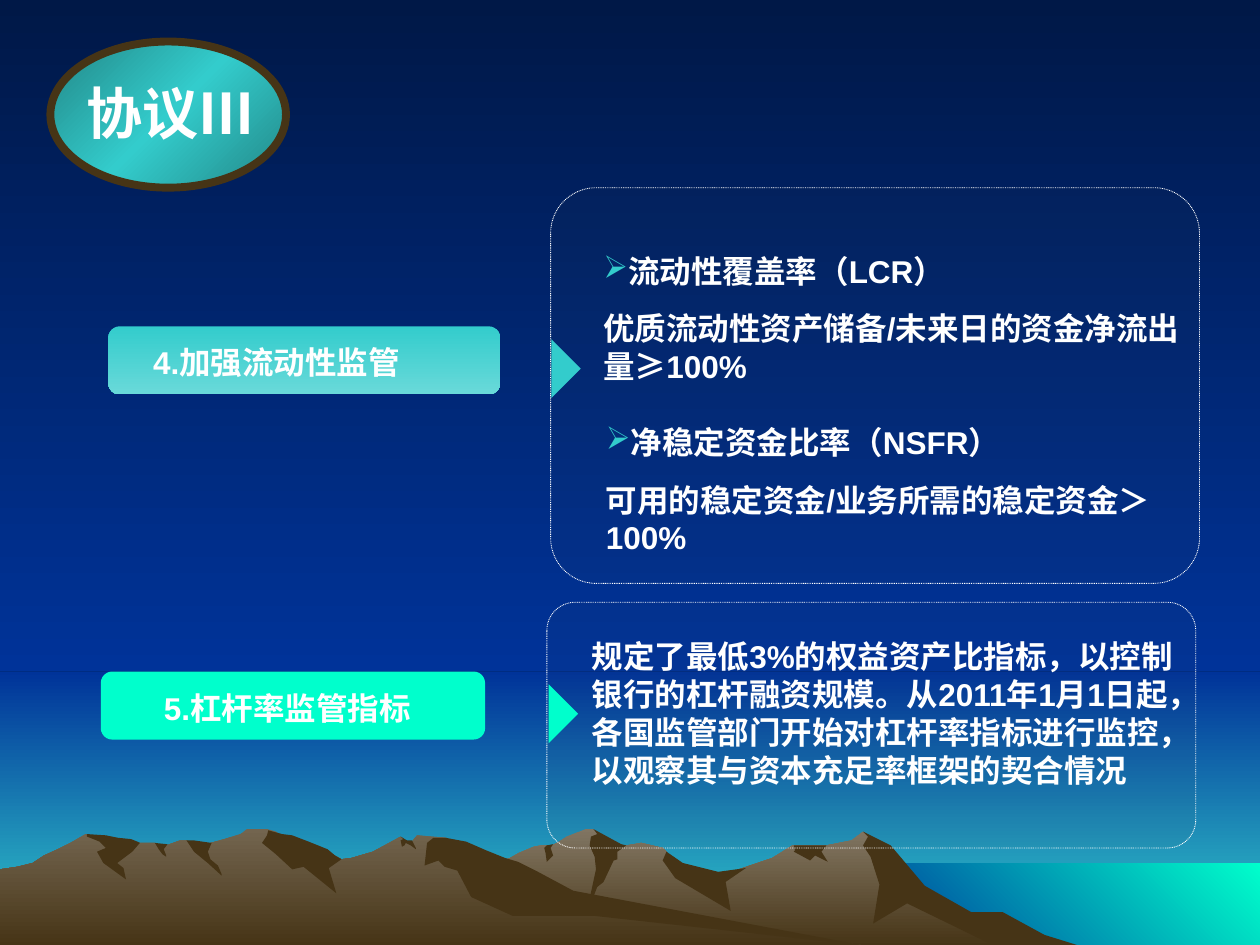
from copy import deepcopy

from lxml import etree
from pptx import Presentation
from pptx import util as u
from pptx.dml import color
from pptx.enum import dml, lang, shapes, text
from pptx.oxml import ns

COLUMNS, ROWS = 1000, 750

WHITE, TEAL, MINT = "FFFFFF", "33CCCC", "00FFCC"
NIGHT, BLUE, EARTH, GREY = "001847", "003399", "463416", "4D4D4D"
DOWN = 90

RIGHT_RANGE = """802,740 778,727 764,723 723,698 702,671 685,660 676,667 656,671 629,671 613,681
    566,697 536,690 529,676 526,673 509,669 486,673 474,661 471,658 465,658 450,664 444,668
    438,671 430,671 424,672 412,677 405,681 394,685 355,698 327,709 277,739 258,751 821,751"""
LEFT_RANGE = """690,751 667,748 432,712 354,665 331,663 327,668 323,668 318,664 296,676 279,681
    271,682 260,676 236,681 223,663 219,660 212,658 196,658 191,662 178,666 160,671 148,667
    143,667 132,671 128,671 123,669 111,669 94,671 68,662 56,669 46,674 35,679 26,685 14,688
    0,690 0,751"""
RIGHT_SHADOWS = [
    """796,724 771,724 734,703 707,671 685,660 689,664 685,671 691,680 698,702 693,733
    720,717 792,752 858,751 829,742""",
    """471,658 474,662 469,664 468,671 472,680 473,690 465,727 474,704 479,700 487,683
    490,682 490,676 497,671 493,670""",
    "529,676 526,683 536,697 580,723 576,700 592,689 570,692 542,685",
    "650,671 630,671 631,675 630,676 643,683 647,679 657,684 652,676 656,671",
    "433,677 432,673 434,671 439,670 437,673 439,679 434,684",
]
LEFT_SHADOWS = [
    """212,663 208,669 219,678 232,690 241,688 267,709 261,689 271,682 266,679 260,674
    245,668 232,663 224,662 213,659""",
    """370,668 354,665 344,665 339,669 337,687 348,683 353,688 363,691 374,712 407,727
    472,727 690,751 683,750 455,707 427,692 411,684 401,681 386,675""",
    """318,667 320,666 318,664 323,667 327,667 330,673 330,674 326,671 322,669 321,671
    319,672""",
    "154,667 168,669 165,676 167,682 173,687 176,694 176,695 165,685 154,676 148,667",
    "133,670 130,674 132,679 132,680 129,678 126,674 123,669",
    """109,668 111,669 105,676 93,685 98,689 100,698 82,685 77,676 84,673 79,668 69,664
    69,662 84,663 94,665 104,666""",
]


def rgb(value):
    return color.RGBColor.from_string(value)


class SlideBuilder:
    font = "Arial"
    text_colour = WHITE
    space_before = 11.2

    def __init__(self, presentation):
        self.unit = presentation.slide_width / COLUMNS
        self.slide = presentation.slides.add_slide(presentation.slide_layouts[5])

    def cells(self, *values):
        return [u.Emu(round(value * self.unit)) for value in values]

    def place(self, shape, box):
        shape.left, shape.top, shape.width, shape.height = self.cells(*box)

    def paint(self, fill, colours, angle=DOWN):
        if isinstance(colours, str):
            fill.solid()
            fill.fore_color.rgb = rgb(colours)
            return
        fill.gradient()
        fill.gradient_angle = (360 - angle) % 360
        first = fill.gradient_stops[0]._gs
        for _ in colours[2:]:
            first.getparent().append(deepcopy(first))
        for index, (stop, value) in enumerate(zip(fill.gradient_stops, colours)):
            stop.color.rgb = rgb(value)
            stop.position = index / (len(colours) - 1)

    def finish(self, shape, colours, angle=DOWN):
        shape.shadow.inherit = False
        self.paint(shape.fill, colours, angle)
        shape.line.fill.background()
        return shape

    def preset(self, kind, box, colours, angle=DOWN, corner=None, rotation=0):
        shape = self.slide.shapes.add_shape(kind, *self.cells(*box))
        if corner is not None:
            shape.adjustments[0] = corner
        shape.rotation = rotation
        return self.finish(shape, colours, angle)

    def outline(self, shape, colour, width):
        self.paint(shape.line.fill, colour)
        shape.line.width = u.Pt(width)

    def silhouette(self, listing, colours):
        points = [tuple(map(int, pair.split(","))) for pair in listing.split()]
        builder = self.slide.shapes.build_freeform(*points[0], scale=self.unit)
        builder.add_line_segments(points[1:], close=True)
        return self.finish(builder.convert_to_shape(), colours)

    def panel(self, box):
        shape = self.preset(shapes.MSO_SHAPE.ROUNDED_RECTANGLE, box, GREY, corner=0.115)
        tint = shape._element.spPr.find(".//" + ns.qn("a:srgbClr"))
        etree.SubElement(tint, ns.qn("a:alpha")).set("val", "5000")
        self.outline(shape, WHITE, 0.5)
        shape.line.dash_style = dml.MSO_LINE.ROUND_DOT

    def pointer(self, left, top, colour):
        self.preset(shapes.MSO_SHAPE.RIGHT_TRIANGLE, (left, top, 33, 33), colour, rotation=225)

    def bullet(self, paragraph):
        properties = paragraph._p.get_or_add_pPr()
        holder = etree.SubElement(properties, ns.qn("a:buClr"))
        etree.SubElement(holder, ns.qn("a:srgbClr")).set("val", TEAL)
        etree.SubElement(properties, ns.qn("a:buChar")).set("char", "➢")

    def set_text(self, shape, lines, size, centred=False, bulleted=False):
        frame = shape.text_frame
        frame.text = "\n".join(lines)
        frame.word_wrap = True
        frame.auto_size = text.MSO_AUTO_SIZE.SHAPE_TO_FIT_TEXT
        frame.vertical_anchor = text.MSO_ANCHOR.TOP
        for index, paragraph in enumerate(frame.paragraphs):
            if bulleted and index == 0:
                self.bullet(paragraph)
            if index:
                paragraph.space_before = u.Pt(self.space_before)
            paragraph.alignment = text.PP_ALIGN.CENTER if centred else text.PP_ALIGN.LEFT
            for run in paragraph.runs:
                run.font.name = self.font
                run.font.size = u.Pt(size)
                run.font.bold = True
                run.font.color.rgb = rgb(self.text_colour)
                run.font.language_id = lang.MSO_LANGUAGE_ID.SIMPLIFIED_CHINESE

    def textbox(self, box, *lines, **style):
        self.set_text(self.slide.shapes.add_textbox(*self.cells(*box)), lines, 18, **style)

    def title(self, box, words):
        shape = self.slide.shapes.title
        shape._element.getparent().append(shape._element)
        self.place(shape, box)
        self.set_text(shape, [words], 32, centred=True)

    def label(self, box, colours, text_box, words):
        self.preset(shapes.MSO_SHAPE.ROUNDED_RECTANGLE, box, colours, corner=0.167)
        self.textbox(text_box, words, centred=True)

    def landscape(self):
        self.paint(self.slide.background.fill, [NIGHT, BLUE])
        rectangle = shapes.MSO_SHAPE.RECTANGLE
        horizon = 533
        self.preset(rectangle, (0, horizon, COLUMNS, ROWS - horizon), [BLUE, TEAL])
        self.preset(rectangle, (0, 0, COLUMNS, horizon), [NIGHT, BLUE])
        self.preset(rectangle, (683, 685, 317, 67), [BLUE, MINT], angle=315)
        for mountains, crest, shadows in (
            (RIGHT_RANGE, "847864", RIGHT_SHADOWS),
            (LEFT_RANGE, "73654F", LEFT_SHADOWS),
        ):
            self.silhouette(mountains, [crest, EARTH])
            for shadow in shadows:
                self.silhouette(shadow, EARTH)


def main():
    presentation = Presentation()
    presentation.slide_width, presentation.slide_height = u.Inches(10), u.Inches(7.5)
    builder = SlideBuilder(presentation)
    builder.landscape()

    badge = builder.preset(shapes.MSO_SHAPE.OVAL, (40, 33, 187, 116),
                           ["228787", TEAL, "228787"], angle=45)
    builder.outline(badge, EARTH, 4.5)
    builder.title((31, 57, 209, 64), "协议Ⅲ")

    builder.panel((437, 149, 515, 314))
    builder.textbox((469, 195, 484, 116), "流动性覆盖率（LCR）",
                    "优质流动性资产储备/未来日的资金净流出量≥100%", bulleted=True)
    builder.textbox((471, 331, 515, 116), "净稳定资金比率（NSFR）",
                    "可用的稳定资金/业务所需的稳定资金＞100%", bulleted=True)
    builder.panel((434, 478, 515, 195))
    builder.textbox((460, 501, 496, 130),
                    "规定了最低3%的权益资产比指标，以控制银行的杠杆融资规模。"
                    "从2011年1月1日起，各国监管部门开始对杠杆率指标进行监控，"
                    "以观察其与资本充足率框架的契合情况")

    builder.pointer(421, 276, TEAL)
    builder.pointer(419, 550, MINT)
    builder.label((86, 259, 311, 54), [TEAL, "69D9D9"], (95, 267, 249, 40), "4.加强流动性监管")
    builder.label((80, 533, 305, 54), MINT, (88, 542, 280, 40), "5.杠杆率监管指标")
    presentation.save("out.pptx")


if __name__ == "__main__":
    main()
